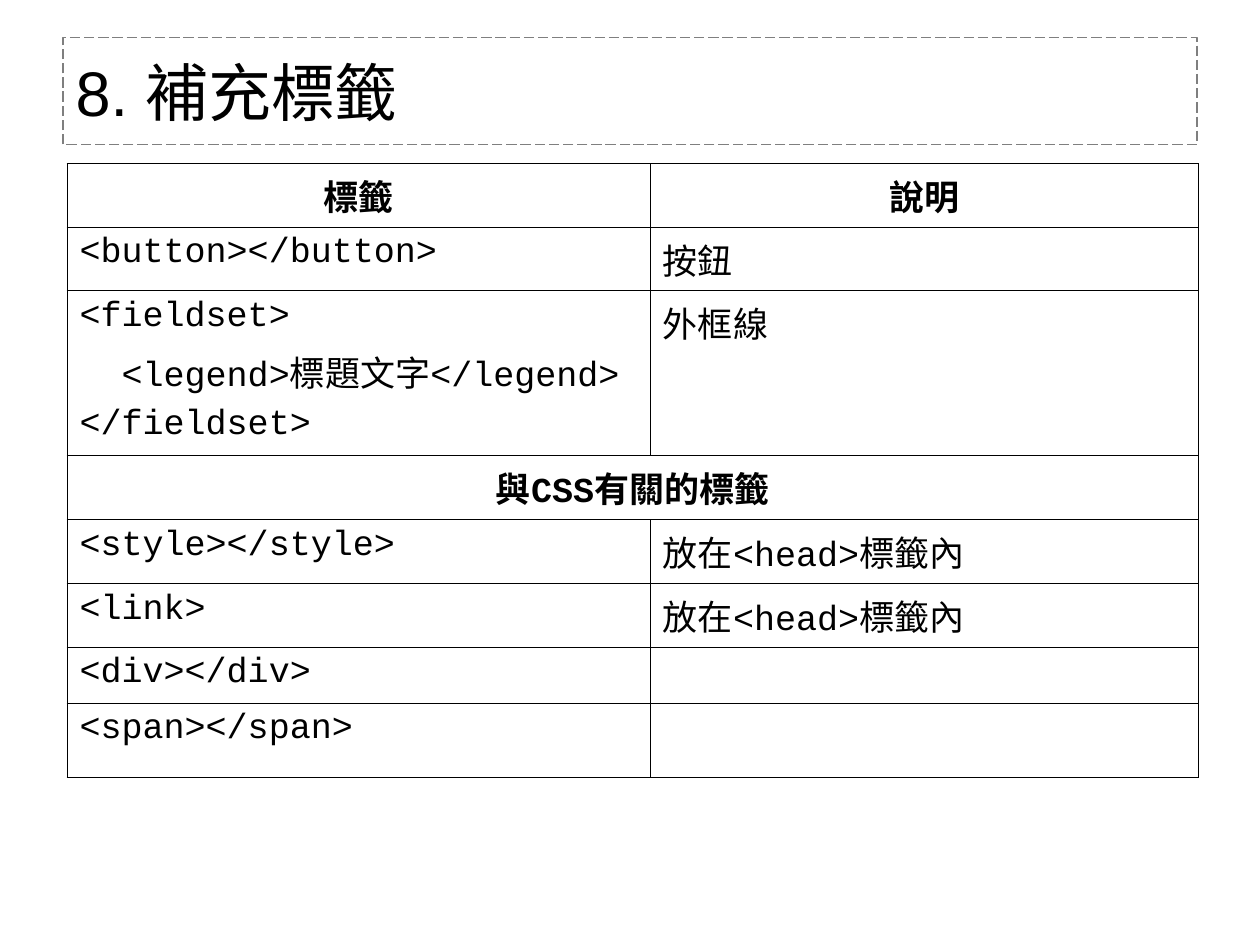
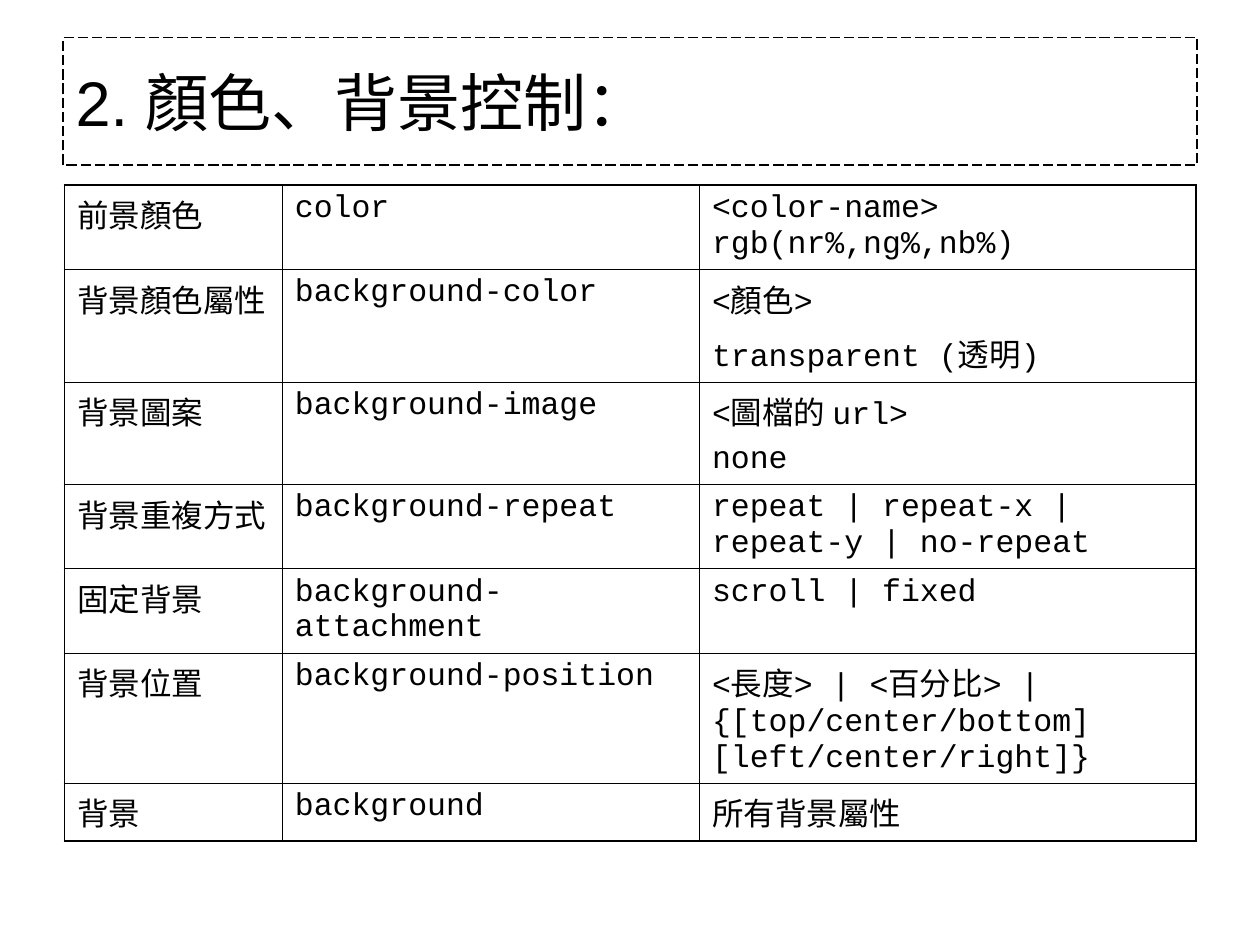
import pptx
import pptx.util
import pptx.dml.color
import pptx.enum.dml
import pptx.enum.text
import pptx.oxml
import pptx.oxml.ns
from dataclasses import dataclass

Cm, Pt = pptx.util.Cm, pptx.util.Pt
LEFT = pptx.enum.text.PP_ALIGN.LEFT
MID = pptx.enum.text.PP_ALIGN.CENTER


@dataclass(frozen=True)
class Theme:
    ink: str = "000000"
    gray: str = "7F7F7F"
    sans: str = "Arial"
    mono: str = "Courier New"
    head: int = 36
    thin: float = 0.45
    thick: float = 1.08


T = Theme()

# Content: a cell is a list of paragraphs, a paragraph is text or (text, font) runs
SLIDES = [
    dict(
        title="8. 補充標籤", tall=2.16, line=T.gray,
        at=(1.35, 3.3), size=20, gap=5, edge=T.thin, heads=(0, 3),
        cols=(11.76, 11.05),
        tags=[
            (1.27, ["標籤"], ["說明"]),
            (1.27, ["<button></button>"], [[("按鈕", T.sans)]]),
            (3.33, ["<fieldset>",
                    [("  <legend>", T.mono), ("標題文字", T.sans), ("</legend>", T.mono)],
                    "</fieldset>"],
             [[("外框線", T.sans)]]),
            (1.27, ["與CSS有關的標籤"]),
            (1.27, ["<style></style>"], ["放在<head>標籤內"]),
            (1.27, ["<link>"], ["放在<head>標籤內"]),
            (1.12, ["<div></div>"], []),
            (1.5, ["<span></span>"], []),
        ],
    ),
    dict(
        title="2. 顏色、背景控制：", tall=2.57, line=T.ink,
        at=(1.3, 3.73), size=18, gap=4.5, edge=T.thick, heads=(),
        cols=(4.39, 8.41, 10.01),
        tags=[
            (1.7, ["前景顏色"], ["color"], ["<color-name> rgb(nr%,ng%,nb%)"]),
            (2.26, ["背景顏色屬性"], ["background-color"], ["<顏色>", "transparent (透明)"]),
            (2.06, ["背景圖案"], ["background-image"], ["<圖檔的 url>", "none"]),
            (1.7, ["背景重複方式"], ["background-repeat"],
             ["repeat | repeat-x | repeat-y | no-repeat"]),
            (1.7, ["固定背景"], ["background-attachment"], ["scroll | fixed"]),
            (2.62, ["背景位置"], ["background-position"],
             ["<長度> | <百分比> | {[top/center/bottom] [left/center/right]}"]),
            (1.17, ["背景"], ["background"], ["所有背景屬性"]),
        ],
    ),
]


def write(frame, paras, size, font=T.mono, bold=False, align=LEFT, gap=0):
    """Fill a text frame; the gap goes between paragraphs only."""
    for i, para in enumerate(paras):
        p = frame.paragraphs[0] if i == 0 else frame.add_paragraph()
        p.alignment = align
        if i:
            p.space_before = Pt(gap)
        for text, face in ([(para, font)] if isinstance(para, str) else para):
            run = p.add_run()
            run.text = text
            run.font.size, run.font.name, run.font.bold = Pt(size), face, bold
            run.font.color.rgb = pptx.dml.color.RGBColor.from_string(T.ink)


def rule(cell, widths):
    """Draw the four cell borders, widths in points by side."""
    cell.fill.background()
    props = cell._tc.get_or_add_tcPr()
    for i, (side, width) in enumerate(widths.items()):
        props.insert(i, pptx.oxml.parse_xml(
            f'<a:ln{side} {pptx.oxml.ns.nsdecls("a")} w="{Pt(width)}">'
            f'<a:solidFill><a:srgbClr val="{T.ink}"/></a:solidFill>'
            f'<a:prstDash val="solid"/></a:ln{side}>'))


def add_title(slide, page):
    box = slide.shapes.title
    box.left, box.top = Cm(1.27), Cm(0.76)
    box.width, box.height = Cm(22.86), Cm(page["tall"])
    box.line.color.rgb = pptx.dml.color.RGBColor.from_string(page["line"])
    box.line.width = Pt(0.75)
    box.line.dash_style = pptx.enum.dml.MSO_LINE.LONG_DASH
    frame = box.text_frame
    frame.auto_size = pptx.enum.text.MSO_AUTO_SIZE.NONE
    frame.vertical_anchor = pptx.enum.text.MSO_ANCHOR.MIDDLE
    write(frame, [page["title"]], T.head, font=T.sans)


def add_grid(slide, page):
    tags, cols = page["tags"], page["cols"]
    x, y = page["at"]
    wide, high = sum(cols), sum(row[0] for row in tags)
    grid = slide.shapes.add_table(
        len(tags), len(cols), Cm(x), Cm(y), Cm(wide), Cm(high)).table
    grid.first_row = grid.horz_banding = False
    # Plain table style without fills or grid
    style = grid._tbl.tblPr.find(pptx.oxml.ns.qn("a:tableStyleId"))
    style.text = "{2D5ABB26-0587-4C30-8999-92F81FD0307C}"
    for c, width in enumerate(cols):
        grid.columns[c].width = Cm(width)

    last, end = len(tags) - 1, len(cols) - 1
    for r, (tall, *cells) in enumerate(tags):
        grid.rows[r].height = Cm(tall)
        if len(cells) == 1:
            grid.cell(r, 0).merge(grid.cell(r, end))
        head = r in page["heads"]
        for c, paras in enumerate(cells):
            write(grid.cell(r, c).text_frame, paras, page["size"], bold=head,
                  align=MID if head else LEFT, gap=page["gap"])
        for c in range(len(cols)):
            outer = {"L": c == 0, "R": c == end, "T": r == 0, "B": r == last}
            rule(grid.cell(r, c), {side: page["edge"] if out else T.thin
                                   for side, out in outer.items()})


def main():
    deck = pptx.Presentation()
    deck.slide_width, deck.slide_height = Cm(25.4), Cm(19.05)
    for page in SLIDES:
        slide = deck.slides.add_slide(deck.slide_layouts[5])
        add_title(slide, page)
        add_grid(slide, page)
    deck.save("out.pptx")


if __name__ == "__main__":
    main()
